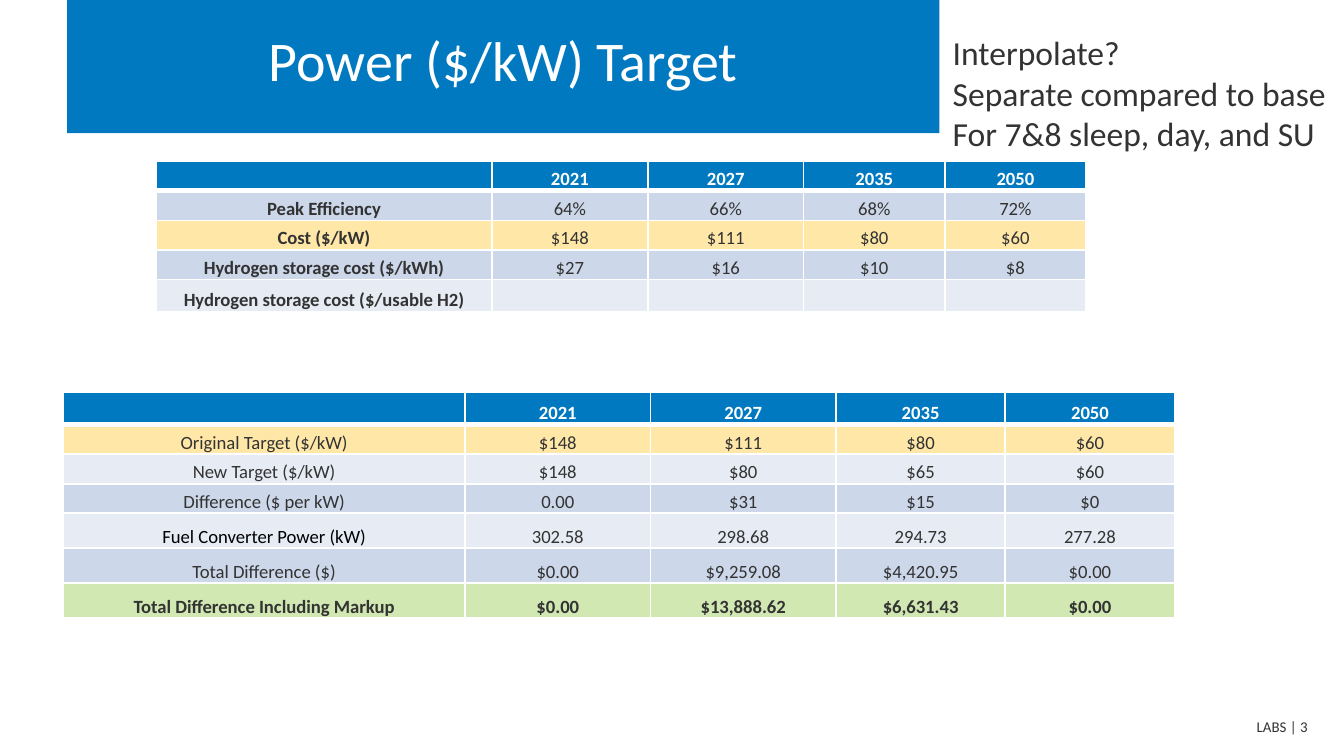
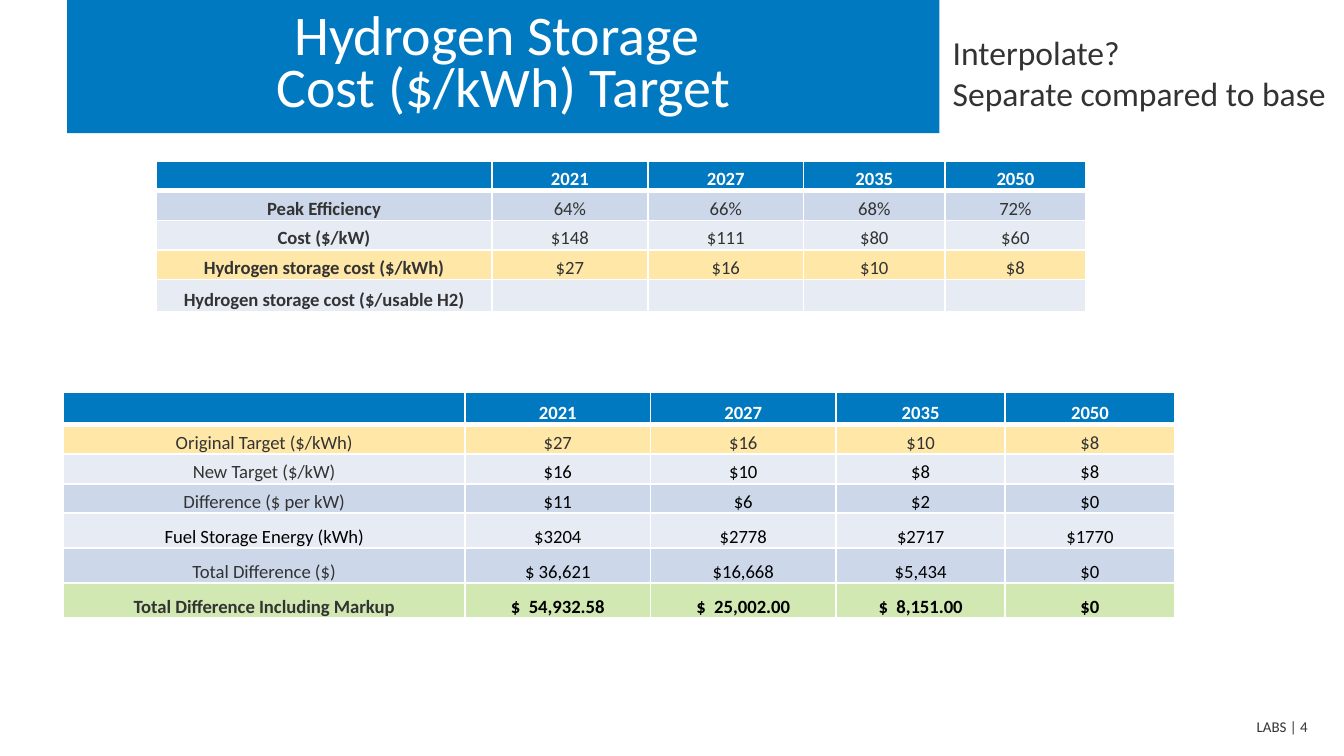
import pptx
import pptx.dml.color
import pptx.enum.text
import pptx.oxml
import pptx.oxml.ns
import pptx.util
from pptx.util import Inches

BLUE, WHITE, BLACK, GRAY = "0079C1", "FFFFFF", "000000", "333333"
DARK_BAND, LIGHT_BAND = "CCD7E9", "E7ECF4"
HIGHLIGHT, TOTAL = "FFE7A8", "D1E8B2"
FONT = "Calibri"
ALIGN = pptx.enum.text.PP_ALIGN
ANCHOR = pptx.enum.text.MSO_ANCHOR

YEARS = ["", "2021", "2027", "2035", "2050"]
ASSUMPTIONS = [
    YEARS,
    ["Peak Efficiency", "64%", "66%", "68%", "72%"],
    ["Cost ($/kW)", "$148", "$111", "$80", "$60"],
    ["Hydrogen storage cost ($/kWh)", "$27", "$16", "$10", "$8"],
    ["Hydrogen storage cost ($/usable H2)", "", "", "", ""],
]
POWER_COSTS = [
    YEARS,
    ["Original Target ($/kW)", "$148", "$111", "$80", "$60"],
    ["New Target ($/kW)", "$148", "$80", "$65", "$60"],
    ["Difference ($ per kW)", "0.00", "$31", "$15", "$0"],
    ["Fuel Converter Power (kW)", "302.58", "298.68", "294.73", "277.28"],
    ["Total Difference ($)", "$0.00", "$9,259.08", "$4,420.95", "$0.00"],
    ["Total Difference Including Markup", "$0.00", "$13,888.62", "$6,631.43", "$0.00"],
]
STORAGE_COSTS = [
    YEARS,
    ["Original Target ($/kWh)", "$27", "$16", "$10", "$8"],
    ["New Target ($/kW)", "$16", "$10", "$8", "$8"],
    ["Difference ($ per kW)", "$11", "$6", "$2", "$0"],
    ["Fuel Storage Energy (kWh)", "$3204", "$2778", "$2717", "$1770"],
    ["Total Difference ($)", "$ 36,621", "$16,668", "$5,434", "$0"],
    ["Total Difference Including Markup", "$  54,932.58", "$  25,002.00", "$  8,151.00", "$0"],
]
FUEL_ROW, MARKUP_ROW = 4, 6


def rgb(color):
    return pptx.dml.color.RGBColor.from_string(color)


def set_cell_borders(cell, bottom_width):
    """Draw white lines, 1 pt wide except at the bottom."""
    properties = cell._tc.get_or_add_tcPr()
    for side in "LRTB":
        width = bottom_width if side == "B" else 1
        properties.append(pptx.oxml.parse_xml(
            f'<a:ln{side} {pptx.oxml.ns.nsdecls("a")} w="{pptx.util.Pt(width)}">'
            f'<a:solidFill><a:srgbClr val="{WHITE}"/></a:solidFill></a:ln{side}>'))


class Deck:
    def __init__(self):
        self.presentation = pptx.Presentation()
        self.presentation.slide_width = Inches(10)
        self.presentation.slide_height = Inches(10) * 9 // 16
        self.slide = None

    def style(self, paragraph, size, color, bold=False, align=ALIGN.LEFT):
        paragraph.alignment = align
        font = paragraph.font
        font.name, font.size, font.bold = FONT, pptx.util.Pt(size), bold
        font.color.rgb = rgb(color)

    def add_slide(self, title, page):
        layout = self.presentation.slide_layouts.get_by_name("Title Only")
        self.slide = self.presentation.slides.add_slide(layout)
        self.title(title)
        self.text([f"LABS | {page}"], 7.34, 5.29, 2.49, 0.24, 8, align=ALIGN.RIGHT)

    def title(self, text):
        shape = self.slide.shapes.title
        shape.left, shape.top = Inches(0.5), Inches(0)
        shape.width, shape.height = Inches(6.49), Inches(0.99)
        shape.fill.solid()
        shape.fill.fore_color.rgb = rgb(BLUE)
        frame = shape.text_frame
        frame.auto_size = pptx.enum.text.MSO_AUTO_SIZE.NONE
        frame.vertical_anchor = ANCHOR.MIDDLE
        paragraph = frame.paragraphs[0]
        paragraph.text = text
        paragraph.line_spacing = pptx.util.Pt(28)
        self.style(paragraph, 30, WHITE, align=ALIGN.CENTER)

    def text(self, lines, left, top, width, height, size, align=ALIGN.LEFT, wrap=True):
        shape = self.slide.shapes.add_textbox(
            Inches(left), Inches(top), Inches(width), Inches(height))
        frame = shape.text_frame
        frame.word_wrap = wrap
        frame.text = "\n".join(lines)
        for paragraph in frame.paragraphs:
            self.style(paragraph, size, GRAY, align=align)

    def table(self, left, top, widths, heights, rows, fills, is_bold, is_black):
        """Fill a table; is_bold and is_black take a body cell's row and column."""
        table = self.slide.shapes.add_table(
            len(rows), len(widths), Inches(left), Inches(top),
            Inches(sum(widths)), Inches(sum(heights))).table
        for column, width in zip(table.columns, widths):
            column.width = Inches(width)
        for row, height in zip(table.rows, heights):
            row.height = Inches(height)
        for row, (texts, fill) in enumerate(zip(rows, [BLUE] + fills)):
            for column, text in enumerate(texts):
                header = row == 0
                color = WHITE if header else BLACK if is_black(row, column) else GRAY
                self.cell(table.cell(row, column), text, fill, color,
                          header or is_bold(row, column), 3 if header else 1)

    def cell(self, cell, text, fill, color, bold, bottom_width):
        set_cell_borders(cell, bottom_width)
        cell.fill.solid()
        cell.fill.fore_color.rgb = rgb(fill)
        cell.margin_left = cell.margin_right = cell.margin_top = cell.margin_bottom = 0
        cell.vertical_anchor = ANCHOR.BOTTOM
        paragraph = cell.text_frame.paragraphs[0]
        if text:
            paragraph.text = text
        else:  # keeps an empty cell from stretching its row
            paragraph._p.get_or_add_endParaRPr().set("sz", "1000")
        self.style(paragraph, 10, color, bold, ALIGN.CENTER)

    def assumptions_table(self, highlighted_row):
        fills = [DARK_BAND, LIGHT_BAND] * 2
        fills[highlighted_row - 1] = HIGHLIGHT
        self.table(1.16, 1.2, [2.5, 1.16, 1.16, 1.05, 1.05], [0.22] * 4 + [0.24],
                   ASSUMPTIONS, fills,
                   is_bold=lambda row, column: column == 0,
                   is_black=lambda row, column: False)

    def costs_table(self, rows, black_values):
        fills = [HIGHLIGHT] + [LIGHT_BAND, DARK_BAND] * 2 + [TOTAL]
        self.table(0.47, 2.92, [2.99, 1.38, 1.38, 1.26, 1.26],
                   [0.24] + [0.22] * 3 + [0.26] * 3, rows, fills,
                   is_bold=lambda row, column: row == MARKUP_ROW,
                   is_black=lambda row, column: (
                       row == FUEL_ROW if column == 0 else black_values and row > 1))


def main():
    deck = Deck()
    questions = ["Interpolate?", "Separate compared to base"]

    deck.add_slide("Power ($/kW) Target", 3)
    deck.costs_table(POWER_COSTS, black_values=False)
    deck.assumptions_table(highlighted_row=2)
    deck.text(questions + ["For 7&8 sleep, day, and SU"], 6.99, 0.19, 3.01, 1.01, 18,
              wrap=False)

    deck.add_slide("Hydrogen Storage \vCost ($/kWh) Target", 4)
    deck.assumptions_table(highlighted_row=3)
    deck.costs_table(STORAGE_COSTS, black_values=True)
    deck.text(questions, 6.99, 0.19, 3.01, 0.71, 18, wrap=False)

    deck.presentation.save("out.pptx")


if __name__ == "__main__":
    main()
